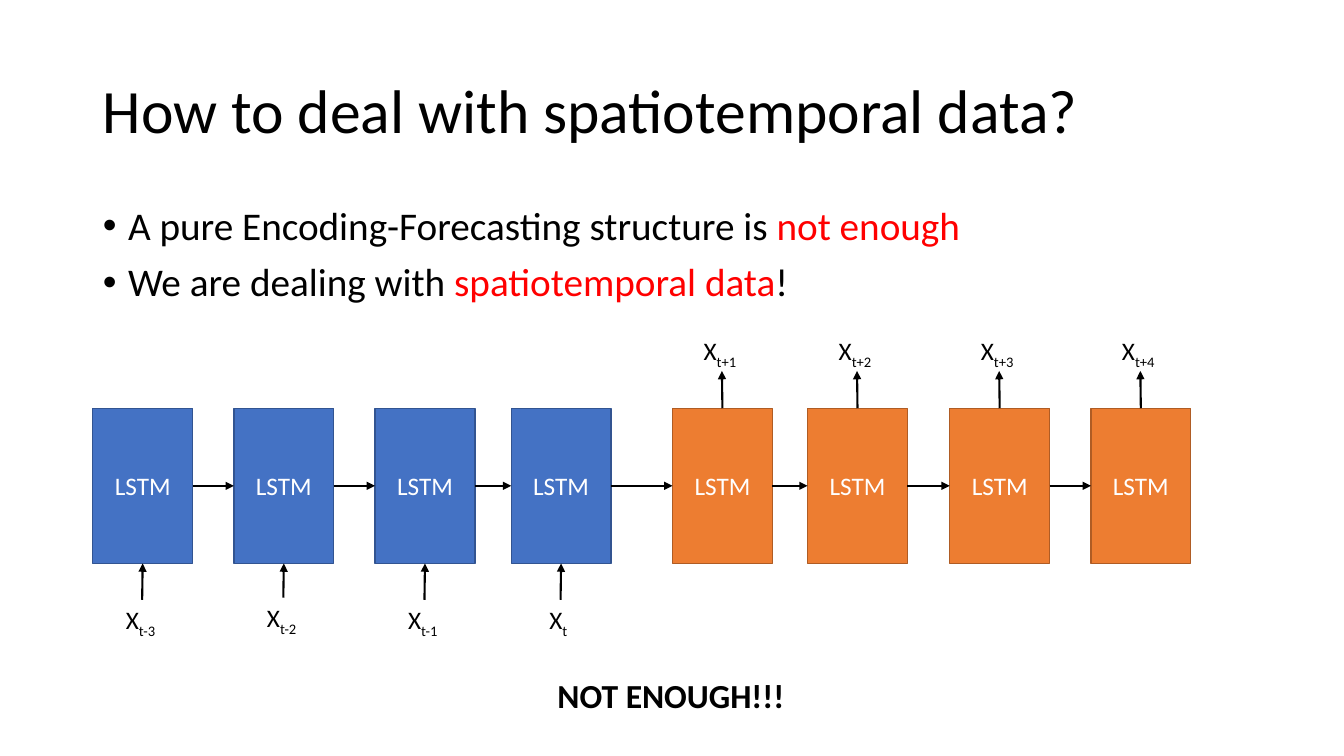
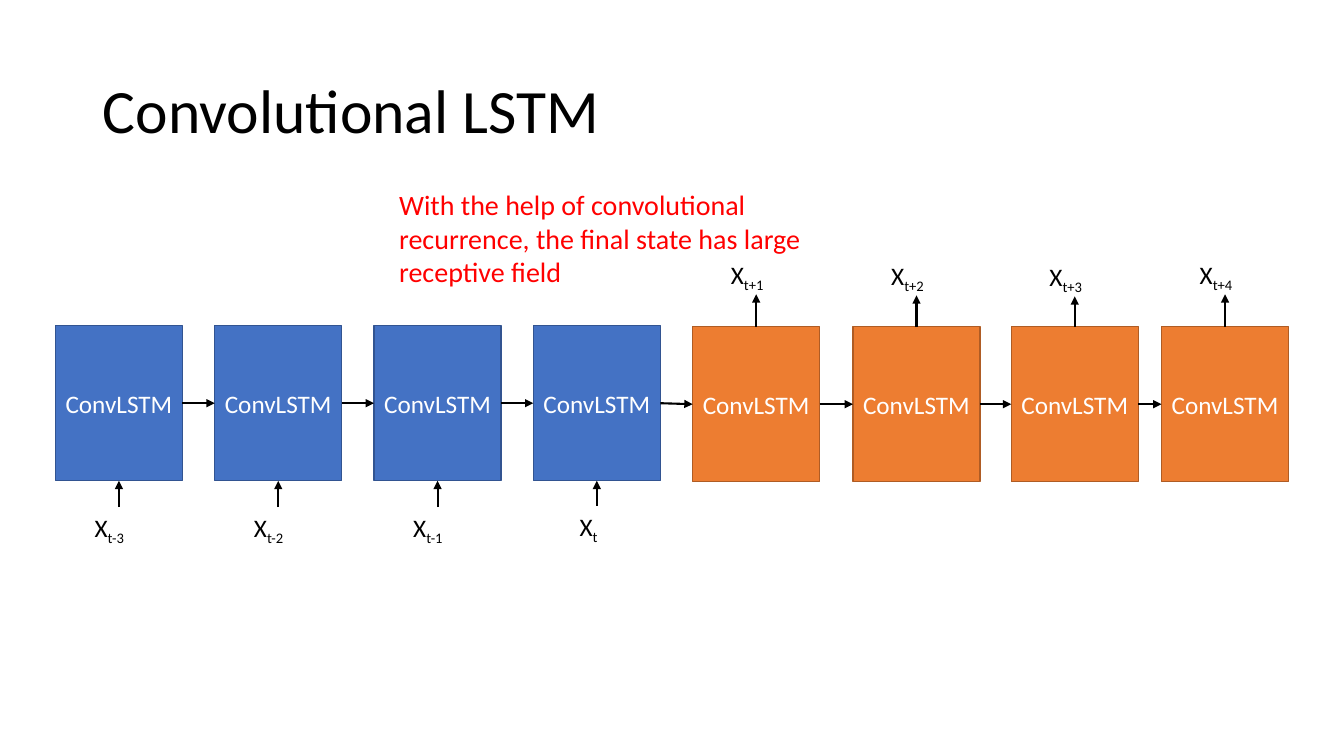
from itertools import pairwise

from lxml import etree
from pptx import Presentation
from pptx.dml.color import RGBColor
from pptx.enum.shapes import MSO_CONNECTOR, MSO_SHAPE
from pptx.enum.text import MSO_ANCHOR, MSO_AUTO_SIZE, PP_ALIGN
from pptx.oxml.ns import qn
from pptx.util import Pt

PX = 9144  # EMU per px, 100 px to the inch
PAGE_WIDTH, PAGE_HEIGHT = 1333, 750

BLACK = RGBColor(0x00, 0x00, 0x00)
WHITE = RGBColor(0xFF, 0xFF, 0xFF)
RED = RGBColor(0xFF, 0x00, 0x00)
BLUE = RGBColor(0x44, 0x72, 0xC4)
BLUE_EDGE = RGBColor(0x32, 0x54, 0x91)
ORANGE = RGBColor(0xED, 0x7D, 0x31)
ORANGE_EDGE = RGBColor(0xAF, 0x5C, 0x24)

STRAIGHT = MSO_CONNECTOR.STRAIGHT
RECTANGLE = MSO_SHAPE.RECTANGLE
MIDDLE, TOP = MSO_ANCHOR.MIDDLE, MSO_ANCHOR.TOP
LEFT, CENTER = PP_ALIGN.LEFT, PP_ALIGN.CENTER
NO_FIT, GROW = MSO_AUTO_SIZE.NONE, MSO_AUTO_SIZE.SHAPE_TO_FIT_TEXT

# Connection sites of a rectangle
SITE_TOP, SITE_LEFT, SITE_BOTTOM, SITE_RIGHT = range(4)

TITLE_LAYOUT, TITLE_BODY_LAYOUT = 5, 1
TITLE_BOX = (92, 40, 1150, 145)
BODY_BOX = (92, 200, 1150, 476)
CELL_HEIGHT, LABEL_HEIGHT = 154, 40

TITLE_FORMAT = {"size": Pt(44)}
BODY_FORMAT = {"size": Pt(28)}
CELL_FORMAT = {"size": Pt(18), "color": WHITE}
LABEL_FORMAT = {"size": Pt(18)}
NOTE_FORMAT = {"size": Pt(20), "color": RED}
VERDICT_FORMAT = {"size": Pt(24), "bold": True}

INPUTS = ["t-3", "t-2", "t-1", "t"]
OUTPUTS = ["t+1", "t+2", "t+3", "t+4"]


def emu(box):
    return [length * PX for length in box]


def add_span(para, text, style):
    span = para.add_run()
    span.text = text
    span.font.name = "Calibri"
    span.font.color.rgb = style.get("color", BLACK)
    for name, value in style.items():
        if name != "color":
            setattr(span.font, name, value)
    return span


def place(shape, box):
    shape.left, shape.top, shape.width, shape.height = emu(box)


def add_text(page, box, text, style, wrap=False):
    """Add a text box that grows with its text; return it and its paragraph."""
    text_box = page.shapes.add_textbox(*emu(box))
    frame = text_box.text_frame
    frame.word_wrap = wrap
    frame.auto_size = GROW
    para = frame.paragraphs[0]
    add_span(para, text, style)
    return para


def add_page(deck, layout, title):
    page = deck.slides.add_slide(deck.slide_layouts[layout])
    place(page.shapes.title, TITLE_BOX)
    frame = page.shapes.title.text_frame
    frame.vertical_anchor, frame.auto_size = MIDDLE, NO_FIT
    para = frame.paragraphs[0]
    para.alignment, para.line_spacing = LEFT, 0.9
    add_span(para, title, TITLE_FORMAT)
    return page


def fill_bullets(body, box, bullets):
    """Each bullet is a list of (text, colour) pairs."""
    place(body, box)
    frame = body.text_frame
    frame.vertical_anchor, frame.auto_size = TOP, NO_FIT
    for index, spans in enumerate(bullets):
        para = frame.add_paragraph() if index else frame.paragraphs[0]
        properties = para._p.get_or_add_pPr()
        properties.set("marL", str(25 * PX))
        properties.set("indent", str(-25 * PX))
        etree.SubElement(properties, qn("a:buFont"), typeface="Arial")
        etree.SubElement(properties, qn("a:buChar"), char="•")
        para.line_spacing = 0.9
        para.space_before = Pt(10 if index else 0)
        for text, color in spans:
            add_span(para, text, BODY_FORMAT | {"color": color})


def add_arrow(page, start, end):
    arrow = page.shapes.add_connector(STRAIGHT, *emu(start + end))
    arrow.line.color.rgb = BLACK
    arrow.line.width = Pt(1.5)
    etree.SubElement(arrow.line._get_or_add_ln(), qn("a:tailEnd"), type="triangle")
    etree.SubElement(arrow._element.spPr, qn("a:effectLst"))
    return arrow


def add_cell(page, box, text, fill, edge):
    cell = page.shapes.add_shape(RECTANGLE, *emu(box))
    cell.shadow.inherit = False
    cell.fill.solid()
    cell.fill.fore_color.rgb = fill
    cell.line.color.rgb = edge
    cell.line.width = Pt(1)
    frame = cell.text_frame
    frame.margin_left = frame.margin_right = 0
    frame.vertical_anchor = MIDDLE
    para = frame.paragraphs[0]
    para.alignment = CENTER
    add_span(para, text, CELL_FORMAT)
    return cell


def add_label(page, box, subscript):
    para = add_text(page, box, "X", LABEL_FORMAT)
    span = add_span(para, subscript, LABEL_FORMAT)
    span.font._element.set("baseline", "-25000")


def draw_network(page, origin, name, cell_width, offsets, input_gaps,
                 output_gaps, label_widths, drop=0):
    """Draw encoder cells with inputs, then forecaster cells with outputs.

    Offsets run from the origin; gaps are the lengths of the label arrows;
    drop lowers the forecaster cells.
    """
    left, top = origin
    half = len(INPUTS)
    cells = []
    for index, offset in enumerate(offsets):
        encodes = index < half
        colors = (BLUE, BLUE_EDGE) if encodes else (ORANGE, ORANGE_EDGE)
        cell_top = top if encodes else top + drop
        box = (left + offset, cell_top, cell_width, CELL_HEIGHT)
        cells.append(add_cell(page, box, name, *colors))

    # Arrows from cell to cell
    for source, target in pairwise(cells):
        arrow = add_arrow(page, (0, 0), (0, 0))
        arrow.begin_connect(source, SITE_RIGHT)
        arrow.end_connect(target, SITE_LEFT)

    # Inputs below the encoder, outputs above the forecaster
    subscripts, gaps = INPUTS + OUTPUTS, input_gaps + output_gaps
    for index, (cell, subscript, gap) in enumerate(zip(cells, subscripts, gaps)):
        center = left + offsets[index] + cell_width // 2
        width = label_widths[len(subscript) > 1 and subscript[1]]
        if index < half:
            label_top = top + CELL_HEIGHT + gap
            arrow = add_arrow(page, (center, label_top), (center, label_top - gap))
            arrow.end_connect(cell, SITE_BOTTOM)
        else:
            label_top = top + drop - gap - LABEL_HEIGHT
            arrow = add_arrow(page, (center, top + drop), (center, top + drop - gap))
            arrow.begin_connect(cell, SITE_TOP)
        add_label(page, (center - width // 2, label_top, width, LABEL_HEIGHT),
                  subscript)


def build_lstm_page(deck):
    page = add_page(deck, TITLE_BODY_LAYOUT, "How to deal with spatiotemporal data?")
    fill_bullets(page.placeholders[1], BODY_BOX, [
        [("A pure Encoding-Forecasting structure is ", BLACK), ("not enough", RED)],
        [("We are dealing with ", BLACK), ("spatiotemporal data", RED), ("!", BLACK)],
    ])
    draw_network(page, (92, 405), "LSTM", 99,
                 offsets=[0, 140, 280, 415, 575, 709, 850, 990],
                 input_gaps=[36, 34, 36, 36], output_gaps=[37] * 4,
                 label_widths={"-": 53, "+": 56, False: 42})
    add_text(page, (543, 665, 248, 50), "NOT ENOUGH!!!", VERDICT_FORMAT)


def build_convlstm_page(deck):
    page = add_page(deck, TITLE_LAYOUT, "Convolutional LSTM")
    draw_network(page, (55, 323), "ConvLSTM", 126,
                 offsets=[0, 158, 316, 474, 632, 791, 948, 1097],
                 input_gaps=[26, 26, 26, 25], output_gaps=[32, 31, 30, 32],
                 label_widths={"-": 68, "+": 71, False: 54}, drop=1)
    add_text(page, (386, 181, 428, 111),
             "With the help of convolutional recurrence, "
             "the final state has large receptive field", NOTE_FORMAT, wrap=True)


def main():
    deck = Presentation()
    deck.slide_width, deck.slide_height = emu((PAGE_WIDTH, PAGE_HEIGHT))
    build_lstm_page(deck)
    build_convlstm_page(deck)
    deck.save("out.pptx")


if __name__ == "__main__":
    main()
